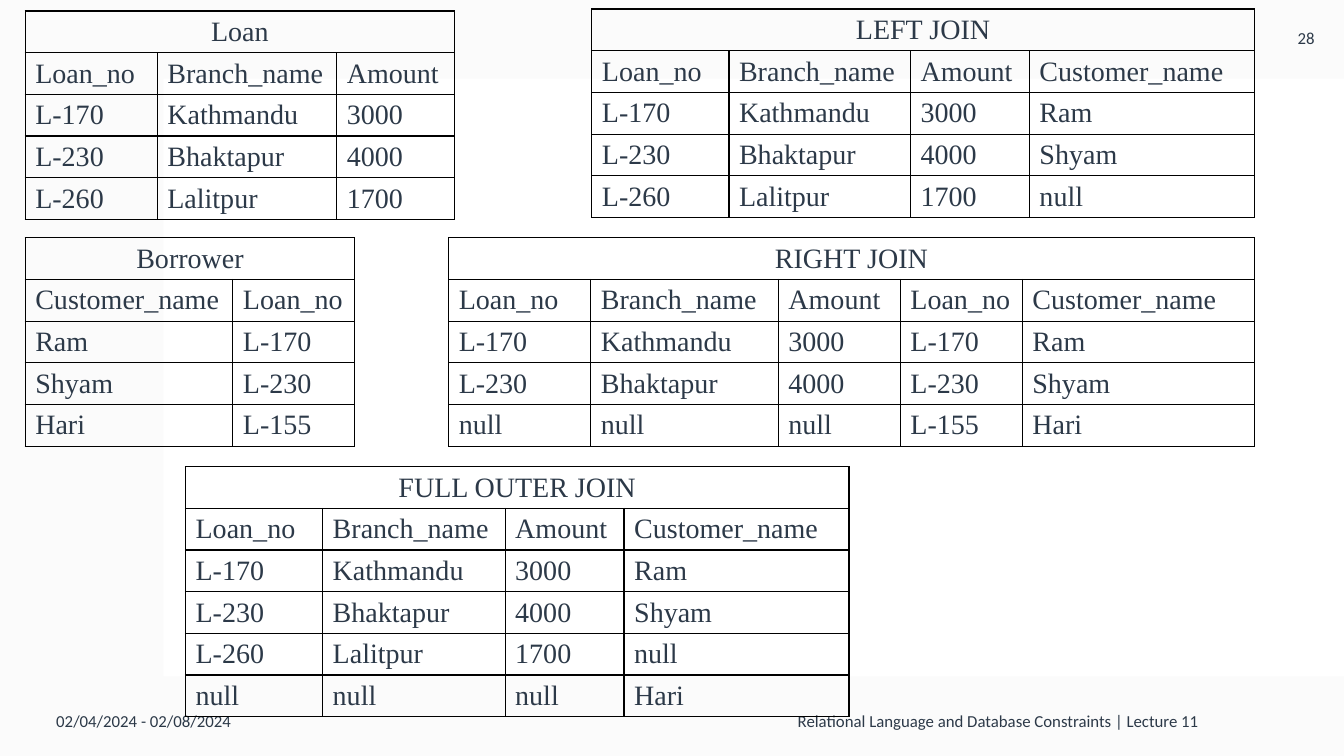
from dataclasses import dataclass

from lxml import etree
from pptx import Presentation
from pptx.dml.color import RGBColor
from pptx.enum.shapes import MSO_SHAPE
from pptx.enum.text import MSO_ANCHOR, PP_ALIGN
from pptx.oxml.ns import qn
from pptx.util import Inches, Pt

LEFT, CENTER, RIGHT = PP_ALIGN.LEFT, PP_ALIGN.CENTER, PP_ALIGN.RIGHT
MIDDLE = MSO_ANCHOR.MIDDLE
RECTANGLE = MSO_SHAPE.RECTANGLE

INK, BLACK, WHITE, PALE = "2C3948", "000000", "FFFFFF", "F4F4F4"
SLIDE_W, SLIDE_H = 13.33, 7.5
ROW_H = 0.41
BLANK_LAYOUT = 6


@dataclass
class Panel:
    left: float
    top: float
    width: float
    height: float
    color: str
    opacity: int = 100


@dataclass
class Label:
    left: float
    top: float
    width: float
    height: float
    text: str
    align: PP_ALIGN
    space_after: int = 6


@dataclass
class Relation:
    title: str
    left: float
    top: float
    widths: list[float]
    rows: list[list[str]]


PANELS = [
    Panel(0, 0, SLIDE_W, SLIDE_H, PALE, 35),
    Panel(1.62, 0.78, 11.71, 5.93, WHITE),
]

LABELS = [
    Label(0.46, 6.8, 3, 0.7, "02/04/2024 - 02/08/2024", LEFT),
    Label(4.12, 6.8, 7.87, 0.7,
          "Relational Language and Database Constraints | Lecture 11", RIGHT),
    Label(12.58, 0, 0.75, 0.75, "28", CENTER, 0),
]

LOAN = [
    ["Loan_no", "Branch_name", "Amount"],
    ["L-170", "Kathmandu", "3000"],
    ["L-230", "Bhaktapur", "4000"],
    ["L-260", "Lalitpur", "1700"],
]
BORROWER = [
    ["Customer_name", "Loan_no"],
    ["Ram", "L-170"],
    ["Shyam", "L-230"],
    ["Hari", "L-155"],
]
NO_LOAN = ["null"] * 3
LEFT_JOIN = [loan + [name] for loan, name in
             zip(LOAN, ["Customer_name", "Ram", "Shyam", "null"])]
RIGHT_JOIN = [loan + [number, name] for loan, (name, number) in
              zip(LOAN[:3] + [NO_LOAN], BORROWER)]
FULL_JOIN = LEFT_JOIN + [NO_LOAN + ["Hari"]]

RELATIONS = [
    Relation("Loan", 0.25, 0.11, [1.31, 1.78, 1.17], LOAN),
    Relation("Borrower", 0.25, 2.36, [2.06, 1.21], BORROWER),
    Relation("LEFT JOIN", 5.87, 0.09, [1.36, 1.8, 1.18, 2.23], LEFT_JOIN),
    Relation("RIGHT JOIN", 4.45, 2.36, [1.41, 1.86, 1.21, 1.21, 2.3], RIGHT_JOIN),
    Relation("FULL OUTER JOIN", 1.84, 4.63, [1.36, 1.81, 1.18, 2.23], FULL_JOIN),
]


def rgb(color: str) -> RGBColor:
    return RGBColor.from_string(color)


def add_text(tf, text: str, align: PP_ALIGN, font: str, size: int):
    p = tf.paragraphs[0]
    p.alignment = align
    r = p.add_run()
    r.text = text
    r.font.name = font
    r.font.size = Pt(size)
    r.font.color.rgb = rgb(INK)
    return p


def add_panel(slide, panel: Panel) -> None:
    sp = slide.shapes.add_shape(RECTANGLE, Inches(panel.left), Inches(panel.top),
                                Inches(panel.width), Inches(panel.height))
    sp.shadow.inherit = False
    sp.line.fill.background()
    sp.fill.solid()
    sp.fill.fore_color.rgb = rgb(panel.color)
    if panel.opacity < 100:
        color = sp.fill._xPr.find(".//" + qn("a:srgbClr"))
        etree.SubElement(color, qn("a:alpha"), val=str(panel.opacity * 1000))


def add_label(slide, label: Label) -> None:
    sp = slide.shapes.add_textbox(Inches(label.left), Inches(label.top),
                                  Inches(label.width), Inches(label.height))
    tf = sp.text_frame
    tf.word_wrap = True
    tf.vertical_anchor = MIDDLE
    p = add_text(tf, label.text, label.align, "Calibri", 12)
    p.space_after = Pt(label.space_after)


def add_borders(cell) -> None:
    props = cell._tc.get_or_add_tcPr()
    for side in ("lnL", "lnR", "lnT", "lnB"):
        line = etree.SubElement(props, qn(f"a:{side}"), w=str(Pt(1)))
        fill = etree.SubElement(line, qn("a:solidFill"))
        etree.SubElement(fill, qn("a:srgbClr"), val=BLACK)


def add_relation(slide, relation: Relation) -> None:
    """Draw a table whose first row is one merged title cell."""
    columns = len(relation.widths)
    grid = [[relation.title] + [""] * (columns - 1)] + relation.rows
    frame = slide.shapes.add_table(
        len(grid), columns, Inches(relation.left), Inches(relation.top),
        Inches(sum(relation.widths)), Inches(ROW_H * len(grid)))
    table = frame.table
    table.first_row = table.horz_banding = False
    for column, width in zip(table.columns, relation.widths):
        column.width = Inches(width)
    table.cell(0, 0).merge(table.cell(0, columns - 1))
    for i, row in enumerate(grid):
        table.rows[i].height = Inches(ROW_H)
        for j, text in enumerate(row):
            cell = table.cell(i, j)
            add_borders(cell)
            cell.fill.background()
            cell.vertical_anchor = MIDDLE
            cell.margin_top = cell.margin_bottom = Inches(0.04)
            if text:
                add_text(cell.text_frame, text, LEFT if i else CENTER,
                         "Times New Roman", 20)


def main() -> None:
    prs = Presentation()
    prs.slide_width, prs.slide_height = Inches(SLIDE_W), Inches(SLIDE_H)
    slide = prs.slides.add_slide(prs.slide_layouts[BLANK_LAYOUT])
    for panel in PANELS:
        add_panel(slide, panel)
    for label in LABELS:
        add_label(slide, label)
    for relation in RELATIONS:
        add_relation(slide, relation)
    prs.save("out.pptx")


if __name__ == "__main__":
    main()
